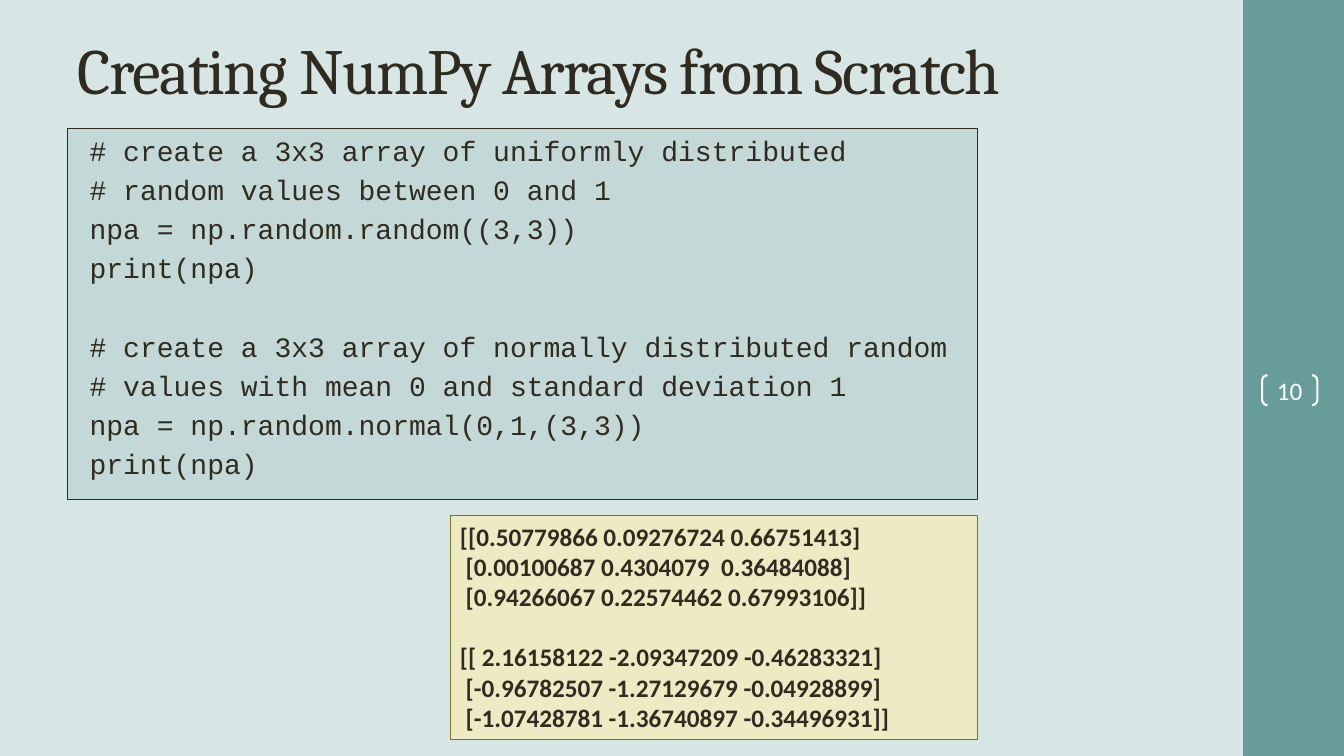
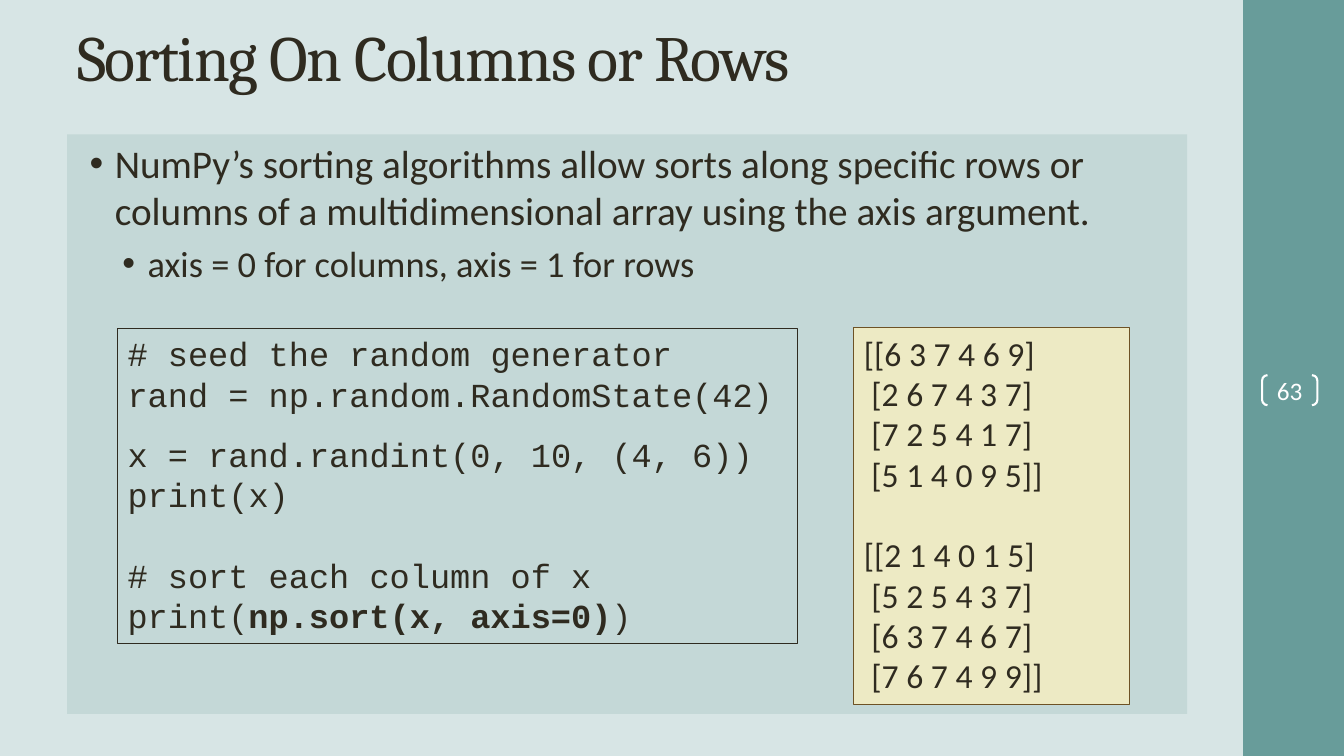
"""Build two NumPy lecture slides: creating random arrays and sorting by axis."""
from dataclasses import dataclass
from typing import Optional

from lxml.etree import SubElement
from pptx import Presentation
from pptx.dml.color import RGBColor
from pptx.enum.shapes import MSO_SHAPE
from pptx.enum.text import MSO_ANCHOR, PP_ALIGN
from pptx.oxml.ns import qn
from pptx.util import Pt

INK, WHITE = "2F2B20", "FFFFFF"
BACKDROP, BAND, PANEL, OUTPUT = "D7E5E5", "689C9A", "C4D8D7", "EDEAC4"
OLIVE, BROWN = "7A7425", "6D5225"
SANS, SERIF, MONO = "Calibri", "Cambria", "Courier New"
LEFT, CONTENT_WIDTH = 48, 800
HANGING = 18


@dataclass(frozen=True)
class Line:
    segments: tuple[str, ...]
    before: float = 0
    bullet_indent: Optional[float] = None
    size: Optional[float] = None


@dataclass(frozen=True)
class Box:
    left: float
    top: float
    width: float
    height: float
    lines: tuple[Line, ...] = ()
    font: str = SANS
    size: float = 18
    color: str = INK
    bold: bool = False
    fill: Optional[str] = None
    border: Optional[str] = None
    border_width: float = 0.75
    inset: float = 7.2
    centred: bool = False
    geometry: MSO_SHAPE = MSO_SHAPE.RECTANGLE


@dataclass(frozen=True)
class Page:
    title: str
    title_top: float
    title_height: float
    number: str
    boxes: tuple[Box, ...]


def rgb(value: str) -> RGBColor:
    return RGBColor.from_string(value)


def listing(text: str, spacing: float = 0, blank: float = 0) -> tuple[Line, ...]:
    lines: list[Line] = []
    for block in text.split("\n\n"):
        for index, row in enumerate(block.split("\n")):
            gap = 0 if not lines else spacing + (blank if index == 0 else 0)
            lines.append(Line((row,), gap))
    return tuple(lines)


def add_bullet(paragraph, indent: float) -> None:
    properties = paragraph._p.get_or_add_pPr()
    properties.set("marL", str(Pt(indent)))
    properties.set("indent", str(-Pt(HANGING)))
    tint = SubElement(properties, qn("a:buClr"))
    SubElement(tint, qn("a:srgbClr")).set("val", INK)
    SubElement(properties, qn("a:buFont")).set("typeface", "Arial")
    SubElement(properties, qn("a:buChar")).set("char", "•")


def write_lines(frame, box: Box) -> None:
    for index, line in enumerate(box.lines):
        paragraph = frame.paragraphs[0] if index == 0 else frame.add_paragraph()
        if line.bullet_indent is not None:
            add_bullet(paragraph, line.bullet_indent)
        paragraph.alignment = PP_ALIGN.CENTER if box.centred else PP_ALIGN.LEFT
        if line.before:
            paragraph.space_before = Pt(line.before)
        paragraph.font.name = box.font
        paragraph.font.size = Pt(line.size or box.size)
        paragraph.font.color.rgb = rgb(box.color)
        paragraph.font.bold = box.bold
        for position, segment in enumerate(line.segments):
            run = paragraph.add_run()
            run.text = segment
            if position % 2:
                run.font.bold = True


def draw_box(slide, box: Box):
    shape = slide.shapes.add_shape(
        box.geometry, Pt(box.left), Pt(box.top), Pt(box.width), Pt(box.height)
    )
    shape.shadow.inherit = False
    if box.fill:
        shape.fill.solid()
        shape.fill.fore_color.rgb = rgb(box.fill)
    else:
        shape.fill.background()
    if box.border:
        shape.line.color.rgb = rgb(box.border)
        shape.line.width = Pt(box.border_width)
    else:
        shape.line.fill.background()
    frame = shape.text_frame
    frame.word_wrap = True
    frame.vertical_anchor = MSO_ANCHOR.MIDDLE if box.centred else MSO_ANCHOR.TOP
    frame.margin_left = Pt(box.inset)
    if box.centred:
        frame.margin_left = frame.margin_right = Pt(0)
        frame.margin_top = frame.margin_bottom = Pt(0)
    write_lines(frame, box)
    return shape


def draw_title(slide, page: Page) -> None:
    heading = slide.shapes.add_textbox(
        Pt(LEFT), Pt(page.title_top), Pt(CONTENT_WIDTH), Pt(page.title_height)
    )
    frame = heading.text_frame
    frame.word_wrap = True
    frame.vertical_anchor = MSO_ANCHOR.MIDDLE
    paragraph = frame.paragraphs[0]
    paragraph.font.name = SERIF
    paragraph.font.size = Pt(46)
    paragraph.font.color.rgb = rgb(INK)
    run = paragraph.add_run()
    run.text = page.title
    run._r.get_or_add_rPr().set("spc", "-100")


def draw_page(deck, page: Page) -> None:
    slide = deck.slides.add_slide(deck.slide_layouts[6])
    slide.background.fill.solid()
    slide.background.fill.fore_color.rgb = rgb(BACKDROP)
    draw_box(slide, Box(888, 0, 72, 540, fill=BAND))
    draw_title(slide, page)
    for box in page.boxes:
        draw_box(slide, box)
    number = draw_box(slide, Box(
        901.5, 268, 39.5, 21.5, (Line((page.number,)),), color=WHITE,
        border=WHITE, border_width=1.5, centred=True,
        geometry=MSO_SHAPE.DOUBLE_BRACKET,
    ))
    number.adjustments[0] = 0.18


RANDOM_CODE = """# create a 3x3 array of uniformly distributed
# random values between 0 and 1
npa = np.random.random((3,3))
print(npa)

# create a 3x3 array of normally distributed random
# values with mean 0 and standard deviation 1
npa = np.random.normal(0,1,(3,3))
print(npa)"""

RANDOM_OUTPUT = """[[0.50779866 0.09276724 0.66751413]
 [0.00100687 0.4304079  0.36484088]
 [0.94266067 0.22574462 0.67993106]]

[[ 2.16158122 -2.09347209 -0.46283321]
 [-0.96782507 -1.27129679 -0.04928899]
 [-1.07428781 -1.36740897 -0.34496931]]"""

SORT_OUTPUT = """[[6 3 7 4 6 9]
 [2 6 7 4 3 7]
 [7 2 5 4 1 7]
 [5 1 4 0 9 5]]

[[2 1 4 0 1 5]
 [5 2 5 4 3 7]
 [6 3 7 4 6 7]
 [7 6 7 4 9 9]]"""

SORT_CODE = (
    Line(("# seed the random generator",)),
    Line(("rand = np.random.RandomState(42)",)),
    Line(("x = rand.randint(0, 10, (4, 6))",), before=14.4),
    Line(("print(x)",)),
    Line(("# sort each column of x",), before=28.8),
    Line(("print(", "np.sort(x, axis=0)", ")")),
)

SORT_POINTS = (
    Line(("NumPy’s sorting algorithms allow sorts along specific rows or "
          "columns of a multidimensional array using the axis argument.",),
         bullet_indent=27),
    Line(("axis = 0 for columns, axis = 1 for rows",),
         before=5.2, bullet_indent=50.4, size=26),
)

PAGES = (
    Page("Creating NumPy Arrays from Scratch", 16.5, 65, "10", (
        Box(LEFT, 91.5, 650, 265, listing(RANDOM_CODE, 4, 28), MONO, 20,
            fill=PANEL, border=INK, inset=16),
        Box(321.5, 368.5, 376.5, 160, listing(RANDOM_OUTPUT, blank=21.6),
            bold=True, fill=OUTPUT, border=OLIVE),
    )),
    Page("Sorting On Columns or Rows", 11.5, 57, "63", (
        Box(LEFT, 96, CONTENT_WIDTH, 414, SORT_POINTS, size=28, fill=PANEL),
        Box(84, 234.5, 485.5, 225, SORT_CODE, MONO, 24, border=INK),
        Box(610, 234, 197, 269.5, listing(SORT_OUTPUT, blank=28.8), size=24,
            fill=OUTPUT, border=BROWN),
    )),
)


def main() -> None:
    deck = Presentation()
    deck.slide_width, deck.slide_height = Pt(960), Pt(540)
    for page in PAGES:
        draw_page(deck, page)
    deck.save("out.pptx")


if __name__ == "__main__":
    main()
